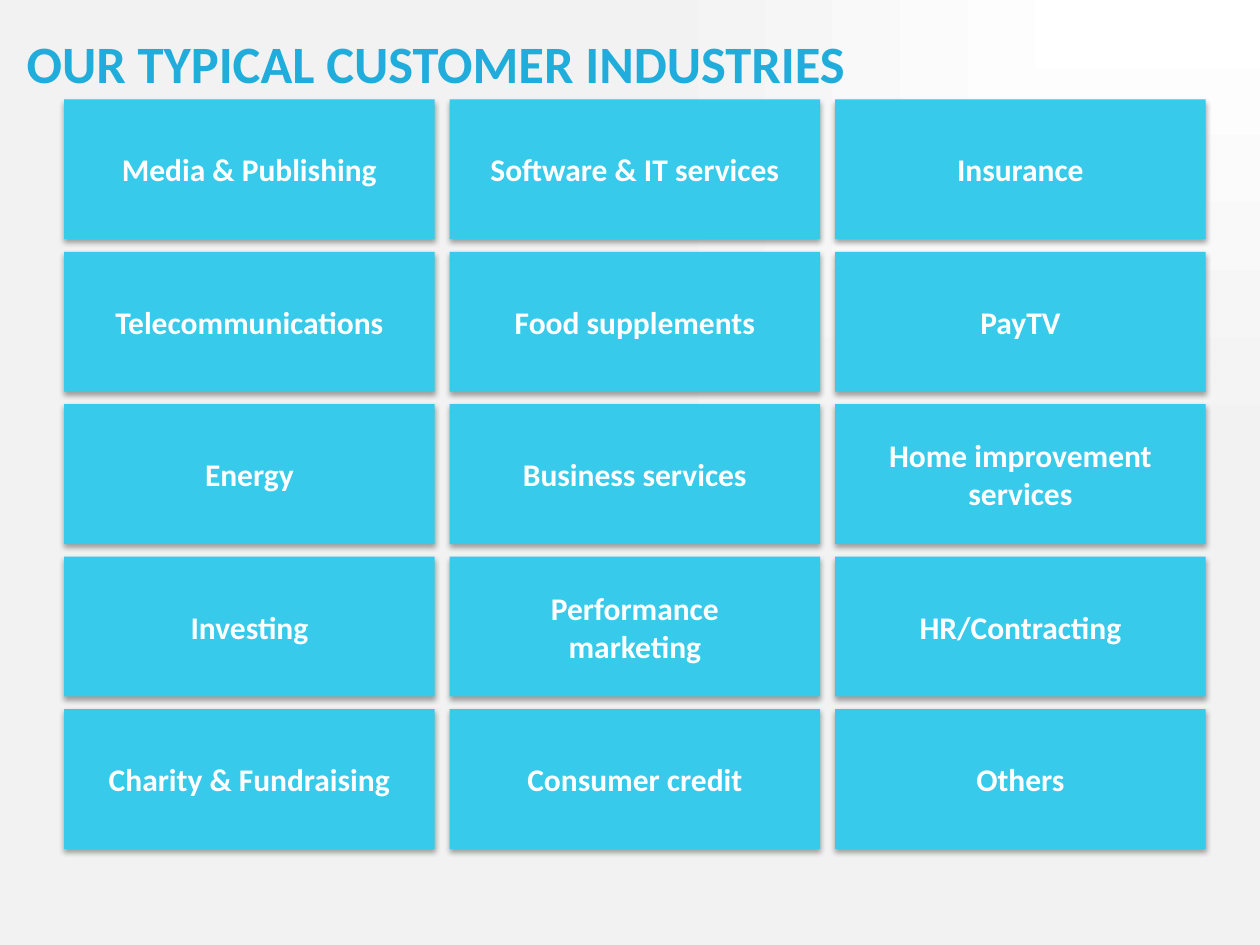
import pptx
import pptx.util
import pptx.dml.color
import pptx.enum.shapes
import pptx.enum.text
import pptx.oxml
import pptx.oxml.ns

Pt = pptx.util.Pt
RGBColor = pptx.dml.color.RGBColor
PP_ALIGN = pptx.enum.text.PP_ALIGN
ANCHOR = pptx.enum.text.MSO_ANCHOR

WHITE = RGBColor(0xFF, 0xFF, 0xFF)
GREY = RGBColor(0xF2, 0xF2, 0xF2)
TILE_BLUE = RGBColor(0x37, 0xCA, 0xEB)
TITLE_BLUE = RGBColor(0x21, 0xAD, 0xDB)

NS = pptx.oxml.ns.nsdecls("a")
SHADOW = (f'<a:outerShdw {NS} blurRad="39370" dist="22860" dir="5400000" rotWithShape="0">'
          '<a:srgbClr val="000000"><a:alpha val="35000"/></a:srgbClr></a:outerShdw>')
CORNER = f'<a:path {NS} path="rect"><a:fillToRect l="100000" b="100000"/></a:path>'

INDUSTRIES = [
    ["Media & Publishing", "Software & IT services", "Insurance"],
    ["Telecommunications", "Food supplements", "PayTV"],
    ["Energy", "Business services", "Home improvement services"],
    ["Investing", "Performance\vmarketing", "HR/Contracting"],
    ["Charity & Fundraising", "Consumer credit", "Others"],
]
LEFT, TOP = 36.7, 56.8
TILE_W, TILE_H = 211.7, 79.9
STEP_X, STEP_Y = 220.3, 87.1


def set_text(sp, text, align, size, color):
    """Write one bold, vertically centred paragraph into a shape."""
    tf = sp.text_frame
    tf.word_wrap = True
    tf.auto_size = pptx.enum.text.MSO_AUTO_SIZE.NONE
    tf.vertical_anchor = ANCHOR.MIDDLE
    p = tf.paragraphs[0]
    p.text = text
    p.alignment = align
    for r in p.runs:
        for name, value in {"name": "Calibri", "size": Pt(size), "bold": True}.items():
            setattr(r.font, name, value)
        r.font.color.rgb = color


prs = pptx.Presentation()
prs.slide_width, prs.slide_height = Pt(720), Pt(540)
s = prs.slides.add_slide(prs.slide_layouts[5])

# Background: white in the top right corner, fading to grey
fill = s.background.fill
fill.gradient()
for stop, color, position in zip(fill.gradient_stops, (WHITE, GREY), (0, 1)):
    stop.color.rgb = color
    stop.position = position
grad = s.element.xpath(".//p:bg//a:gradFill")[0]
for lin in grad.xpath("a:lin"):
    grad.replace(lin, pptx.oxml.parse_xml(CORNER))

# Title
title = s.shapes.title
for name, value in {"left": 8, "top": -9.4, "width": 712, "height": 90}.items():
    setattr(title, name, Pt(value))
set_text(title, "OUR TYPICAL CUSTOMER INDUSTRIES", PP_ALIGN.LEFT, 30, TITLE_BLUE)

# Grid of industry tiles
for row, names in enumerate(INDUSTRIES):
    for col, industry in enumerate(names):
        sp = s.shapes.add_shape(
            pptx.enum.shapes.MSO_SHAPE.RECTANGLE,
            Pt(LEFT + col * STEP_X), Pt(TOP + row * STEP_Y), Pt(TILE_W), Pt(TILE_H))
        sp.fill.solid()
        sp.fill.fore_color.rgb = TILE_BLUE
        sp.line.fill.background()
        sp.shadow.inherit = False
        sp.element.xpath("p:spPr/a:effectLst")[0].append(pptx.oxml.parse_xml(SHADOW))
        set_text(sp, industry, PP_ALIGN.CENTER, 18, WHITE)

prs.save("out.pptx")
